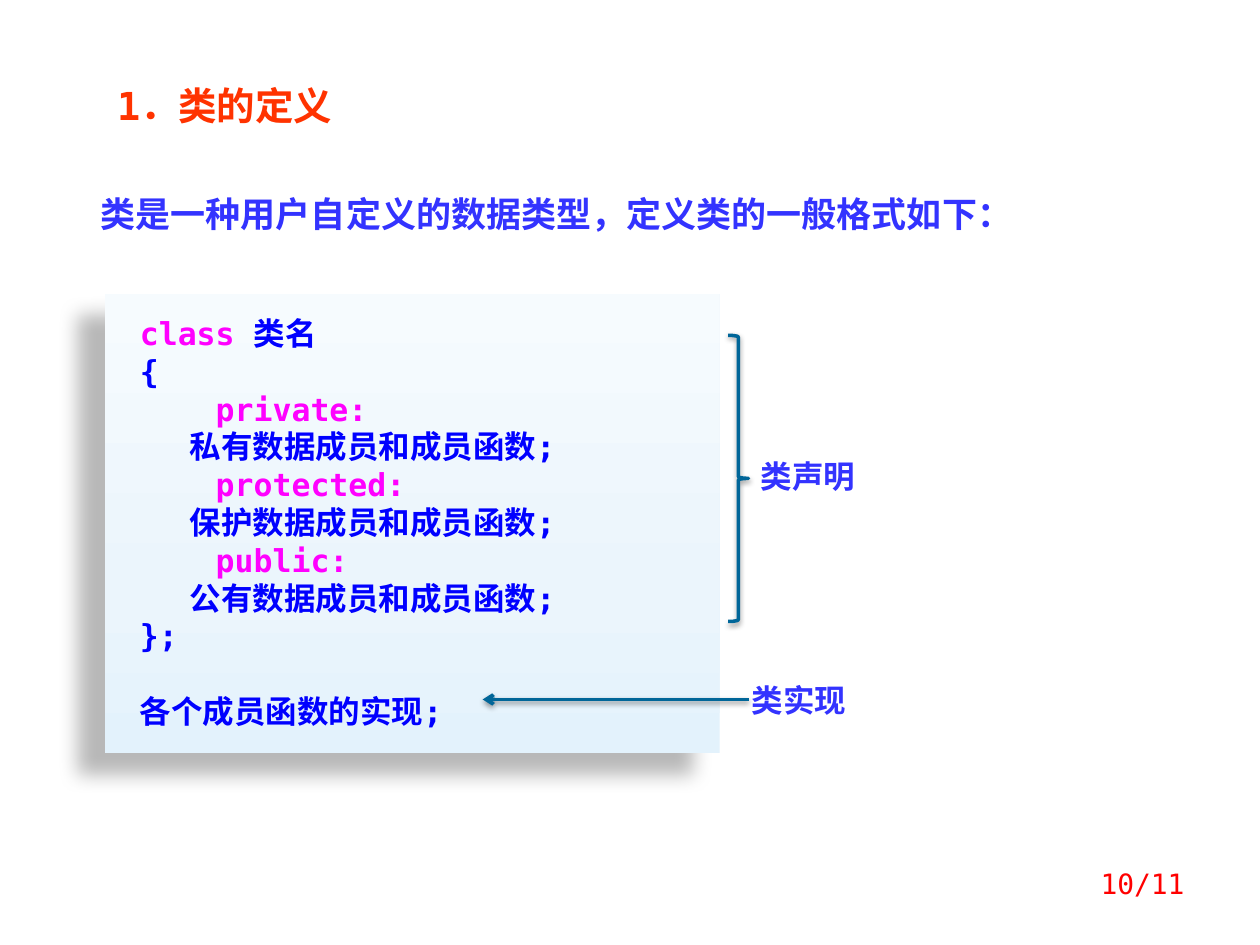
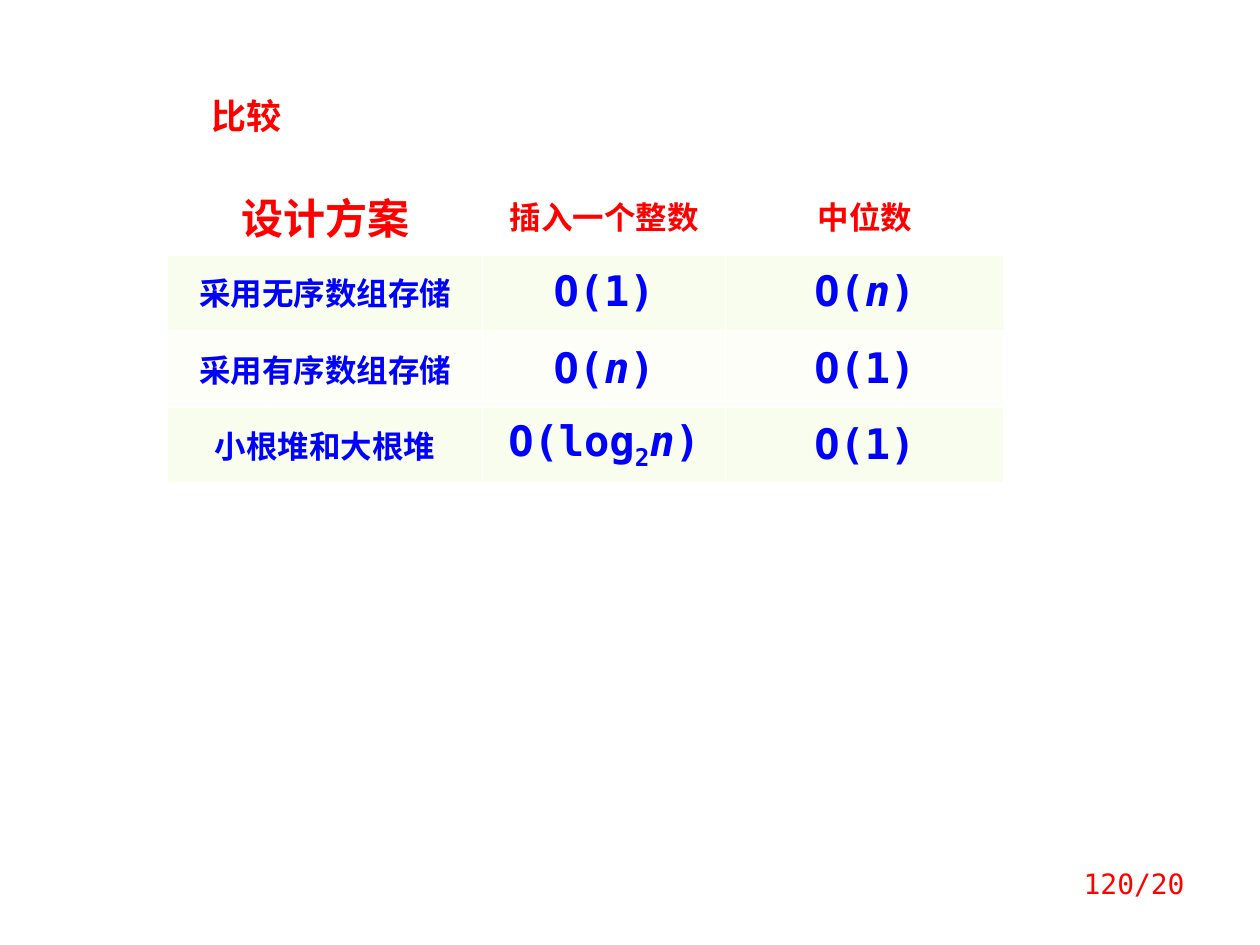
from copy import deepcopy
from dataclasses import dataclass
from typing import Optional

from lxml import etree
from pptx import Presentation
from pptx.dml.color import RGBColor
from pptx.enum.shapes import MSO_CONNECTOR, MSO_SHAPE
from pptx.enum.text import MSO_ANCHOR, PP_ALIGN
from pptx.oxml.ns import qn
from pptx.util import Cm, Pt

LEFT, CENTER, RIGHT = PP_ALIGN.LEFT, PP_ALIGN.CENTER, PP_ALIGN.RIGHT
TOP, MIDDLE = MSO_ANCHOR.TOP, MSO_ANCHOR.MIDDLE
RECTANGLE, RIGHT_BRACE = MSO_SHAPE.RECTANGLE, MSO_SHAPE.RIGHT_BRACE
STRAIGHT = MSO_CONNECTOR.STRAIGHT


@dataclass(frozen=True)
class Theme:
    mono: str = "DejaVu Sans Mono"
    chinese: str = "Noto Sans CJK SC"
    orange: str = "FF3300"
    red: str = "FF0000"
    violet: str = "3333FF"
    blue: str = "0000FF"
    keyword: str = "FF00FF"
    teal: str = "006699"
    white: str = "FFFFFF"
    bands: tuple = ("F8FDEE", "FCFEF7")
    panel: tuple = ((0, "E3F2FC"), (0.35, "EBF5FC"), (1, "F6FBFE"))
    line_shadow: tuple = (38, 3.1, 1.6, 90)
    panel_shadow: tuple = (28, 11.8, 19.7, 141)
    number: int = 16
    body: int = 18
    lead: int = 20
    title: int = 22
    large: int = 24


@dataclass(frozen=True)
class Span:
    text: str
    color: Optional[str] = None
    italic: bool = False
    subscript: bool = False


class SlideMaker:
    def __init__(self, deck, theme):
        self.deck = deck
        self.theme = theme
        self.slide = None

    def new_slide(self, number):
        self.slide = self.deck.slides.add_slide(self.deck.slide_layouts[6])
        self.text(number, (18.21, 17.35, 5.92, 1.27), self.theme.number,
                  self.theme.red, bold=False, align=RIGHT)

    def paragraph(self, para, spans, size, color, bold=True, align=LEFT, latin=None):
        para.alignment = align
        font = para.font
        font.size, font.bold = Pt(size), bold
        font.name = latin or self.theme.mono
        font.color.rgb = RGBColor.from_string(color)
        defaults = para._p.pPr.find(qn("a:defRPr"))
        etree.SubElement(defaults, qn("a:ea"), typeface=self.theme.chinese)
        for span in spans:
            run = para.add_run()
            run.text = span.text
            if span.color:
                run.font.color.rgb = RGBColor.from_string(span.color)
            if span.italic:
                run.font.italic = True
            if span.subscript:
                run._r.get_or_add_rPr().set("baseline", "-25000")

    def text(self, words, place, size, color, **style):
        box = self.slide.shapes.add_textbox(*map(Cm, place))
        box.text_frame.word_wrap = True
        self.paragraph(box.text_frame.paragraphs[0], [Span(words)], size, color, **style)

    def shadow(self, shape, alpha, blur, distance, angle):
        properties = shape._element.spPr
        effects = properties.find(qn("a:effectLst"))
        if effects is None:
            effects = etree.SubElement(properties, qn("a:effectLst"))
        outer = etree.SubElement(
            effects, qn("a:outerShdw"), blurRad=str(Pt(blur)), dist=str(Pt(distance)),
            dir=str(angle * 60000), algn="ctr", rotWithShape="0")
        color = etree.SubElement(outer, qn("a:srgbClr"), val="000000")
        etree.SubElement(color, qn("a:alpha"), val=str(alpha * 1000))

    def stroke(self, shape):
        shape.line.color.rgb = RGBColor.from_string(self.theme.teal)
        shape.line.width = Pt(2)

    def code_panel(self, lines, place):
        panel = self.slide.shapes.add_shape(RECTANGLE, *map(Cm, place))
        panel.shadow.inherit = False
        panel.line.fill.background()
        panel.fill.gradient()
        panel.fill.gradient_angle = 90
        stop_list = panel._element.spPr.find(".//" + qn("a:gsLst"))
        stop_list.append(deepcopy(stop_list[0]))
        for stop, (position, color) in zip(panel.fill.gradient_stops, self.theme.panel):
            stop.position = position
            stop.color.rgb = RGBColor.from_string(color)
        self.shadow(panel, *self.theme.panel_shadow)
        frame = panel.text_frame
        frame.word_wrap = True
        frame.vertical_anchor = TOP
        frame.margin_left = Cm(0.71)
        frame.margin_top = frame.margin_bottom = Cm(0.41)
        for index, spans in enumerate(lines):
            para = frame.add_paragraph() if index else frame.paragraphs[0]
            self.paragraph(para, spans, self.theme.body, self.theme.blue)
        para.line_spacing = 2.0

    def brace(self, place):
        brace = self.slide.shapes.add_shape(RIGHT_BRACE, *map(Cm, place))
        brace.shadow.inherit = False
        brace.fill.background()
        self.stroke(brace)
        self.shadow(brace, *self.theme.line_shadow)

    def arrow(self, *ends):
        arrow = self.slide.shapes.add_connector(STRAIGHT, *map(Cm, ends))
        self.stroke(arrow)
        line = arrow._element.spPr.find(qn("a:ln"))
        etree.SubElement(line, qn("a:tailEnd"), type="arrow")
        self.shadow(arrow, *self.theme.line_shadow)

    def borders(self, cell, widths):
        properties = cell._tc.get_or_add_tcPr()
        for side, width in zip(("lnL", "lnR", "lnT", "lnB"), widths):
            line = etree.SubElement(properties, qn("a:" + side), w=str(Pt(width)))
            fill = etree.SubElement(line, qn("a:solidFill"))
            etree.SubElement(fill, qn("a:srgbClr"), val=self.theme.white)

    def table(self, rows, left, top, widths, row_height):
        theme = self.theme
        table = self.slide.shapes.add_table(
            len(rows), len(widths), Cm(left), Cm(top),
            Cm(sum(widths)), Cm(row_height * len(rows))).table
        table.first_row = table.horz_banding = False
        for column, width in zip(table.columns, widths):
            column.width = Cm(width)
        for r, row in enumerate(rows):
            table.rows[r].height = Cm(row_height)
            header = r == 0
            fill = theme.white if header else theme.bands[(r - 1) % 2]
            for c, spans in enumerate(row):
                cell = table.cell(r, c)
                self.borders(cell, (1, 1, 3 if r == 1 else 1, 3 if header else 1))
                cell.fill.solid()
                cell.fill.fore_color.rgb = RGBColor.from_string(fill)
                cell.vertical_anchor = MIDDLE
                size = theme.large if header == (c == 0) else theme.body
                color = theme.red if header else theme.blue
                self.paragraph(cell.text_frame.paragraphs[0], spans, size, color,
                               align=CENTER)


def class_definition(maker):
    theme = maker.theme
    maker.new_slide("10/11")
    maker.text("1．类的定义", (2.11, 1.52, 8.2, 1.19), theme.title, theme.orange)
    maker.text("类是一种用户自定义的数据类型，定义类的一般格式如下：",
               (1.78, 3.76, 20.04, 1.12), theme.lead, theme.violet)
    lines = [[Span("class ", theme.keyword), Span("类名")], [Span("{")]]
    for access, kind in (("private", "私有"), ("protected", "保护"), ("public", "公有")):
        lines.append([Span("    "), Span(f"{access}:", theme.keyword)])
        lines.append([Span(f"       {kind}数据成员和成员函数;")])
    lines += [[Span("};")], [Span("各个成员函数的实现;")]]
    maker.code_panel(lines, (2.11, 5.92, 12.4, 9.27))
    maker.brace((14.68, 6.76, 0.41, 5.77))
    for label, left, top in (("类声明", 15.09, 9.09), ("类实现", 14.91, 13.61)):
        maker.text(label, (left, top, 2.97, 1.02), theme.body, theme.violet)
    maker.arrow(15.09, 14.1, 9.73, 14.1)


def comparison(maker):
    theme = maker.theme
    maker.new_slide("120/20")
    maker.text("比较", (3.58, 1.78, 2.77, 1.12), theme.lead, theme.red,
               align=CENTER, latin=theme.chinese)
    constant = [Span("O(1)")]
    variable = [Span("n", italic=True), Span(")")]
    linear = [Span("O("), *variable]
    logarithmic = [Span("O(log"), Span("2", subscript=True), *variable]
    rows = [
        [[Span("设计方案")], [Span("插入一个整数")], [Span("中位数")]],
        [[Span("采用无序数组存储")], constant, linear],
        [[Span("采用有序数组存储")], linear, constant],
        [[Span("小根堆和大根堆")], logarithmic, constant],
    ]
    maker.table(rows, 3.38, 3.58, (6.35, 4.9, 5.61), 1.54)


def main():
    deck = Presentation()
    deck.slide_width, deck.slide_height = Cm(25.4), Cm(19.05)
    maker = SlideMaker(deck, Theme())
    class_definition(maker)
    comparison(maker)
    deck.save("out.pptx")


if __name__ == "__main__":
    main()
